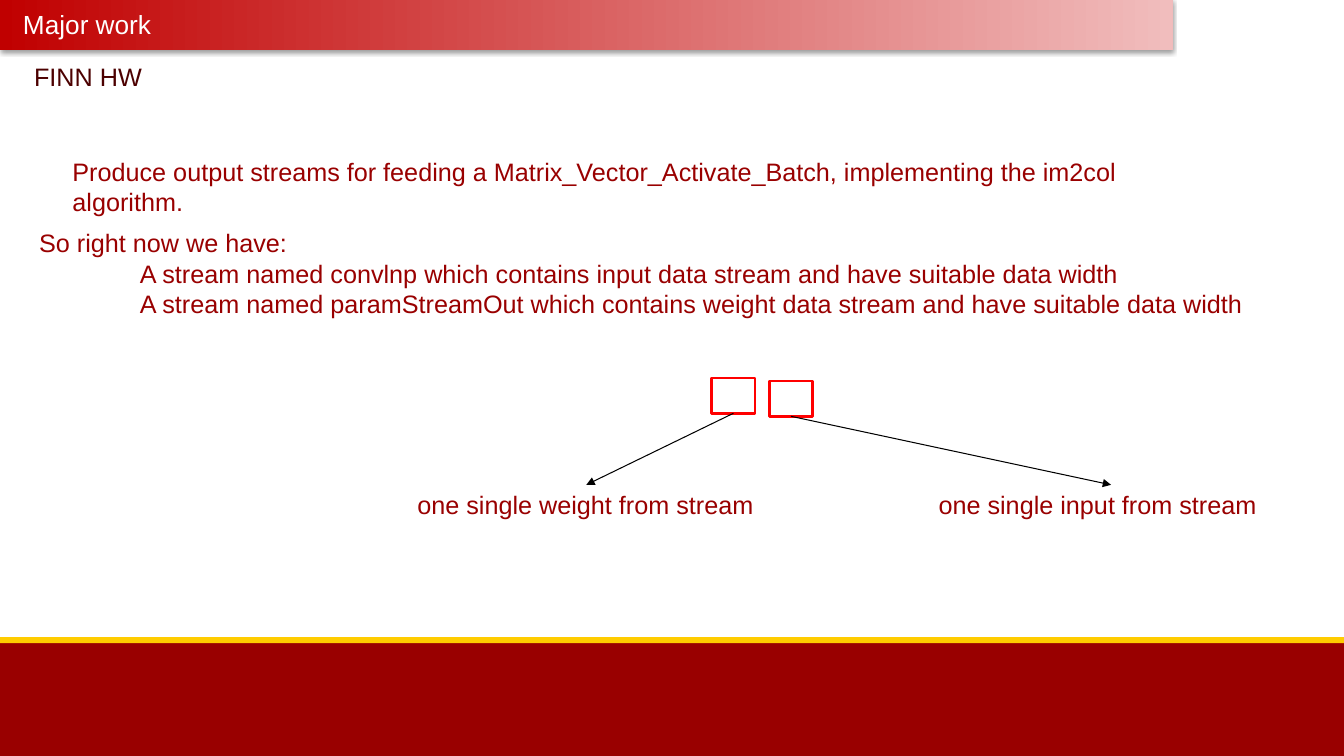
from dataclasses import dataclass

import lxml.etree
import pptx
import pptx.dml.color
import pptx.enum.shapes
import pptx.oxml.ns
import pptx.util

Inches = pptx.util.Inches
Pt = pptx.util.Pt
qn = pptx.oxml.ns.qn
SHAPES = pptx.enum.shapes.MSO_SHAPE
RGB = pptx.dml.color.RGBColor.from_string


@dataclass(frozen=True)
class Theme:
    font: str = "Arial"
    body_size: float = 18
    title_size: float = 18.7
    red: str = "990000"
    heading: str = "4C0000"
    gold: str = "FFCC00"
    title_start: str = "C00000"
    title_end: str = "F1BDBD"
    box_line: str = "FF0000"
    white: str = "FFFFFF"
    black: str = "000000"


theme = Theme()
presentation = pptx.Presentation()
presentation.slide_width = Inches(13.33)
presentation.slide_height = Inches(7.5)
slide = presentation.slides.add_slide(presentation.slide_layouts[6])


def add_text(text, left, top, width, height, size=theme.body_size, color=theme.red, indent=0):
    """Add a text box, one paragraph per line; lines after the first are indented."""
    box = slide.shapes.add_textbox(Inches(left), Inches(top), Inches(width), Inches(height))
    frame = box.text_frame
    frame.word_wrap = True
    for number, line in enumerate(text.split("\n")):
        paragraph = frame.add_paragraph() if number else frame.paragraphs[0]
        paragraph.text = line
        if number and indent:
            properties = paragraph._p.get_or_add_pPr()
            properties.set("marL", str(Inches(indent)))
            properties.set("indent", "0")
        paragraph.font.name = theme.font
        paragraph.font.size = Pt(size)
        paragraph.font.color.rgb = RGB(color)


def add_rectangle(left, top, width, height, fill=None, line=None):
    shape = slide.shapes.add_shape(
        SHAPES.RECTANGLE, Inches(left), Inches(top), Inches(width), Inches(height))
    shape.shadow.inherit = False
    if fill:
        shape.fill.solid()
        shape.fill.fore_color.rgb = RGB(fill)
    else:
        shape.fill.background()
    if line:
        shape.line.color.rgb = RGB(line)
        shape.line.width = Pt(2)
    else:
        shape.line.fill.background()
    return shape


# Footer
add_rectangle(0, 6.35, 13.33, 1.15, fill=theme.red)
add_rectangle(0, 6.32, 13.33, 0.06, fill=theme.gold)

# Title bar with gradient and soft shadow
title_bar = add_rectangle(0, 0, 11.63, 0.5)
title_bar.fill.gradient()
title_bar.fill.gradient_angle = 0
for stop, color in zip(title_bar.fill.gradient_stops, (theme.title_start, theme.title_end)):
    stop.color.rgb = RGB(color)
effects = title_bar._element.spPr.find(qn("a:effectLst"))
shadow = lxml.etree.SubElement(
    effects, qn("a:outerShdw"), blurRad=str(Pt(3.1)), dist=str(Pt(1.6)),
    dir="5400000", rotWithShape="0")
shadow_color = lxml.etree.SubElement(shadow, qn("a:srgbClr"), val=theme.black)
lxml.etree.SubElement(shadow_color, qn("a:alpha"), val="38000")
add_text("Major work", 0.13, 0.03, 11.27, 0.45, size=theme.title_size, color=theme.white)

# Body text
add_text("FINN HW", 0.24, 0.56, 1.62, 0.4, color=theme.heading)
add_text(
    "Produce output streams for feeding a Matrix_Vector_Activate_Batch, "
    "implementing the im2col algorithm.", 0.62, 1.5, 11.69, 0.4)
add_text(
    "So right now we have:\n"
    "A stream named convlnp which contains input data stream and have suitable data width\n"
    "A stream named paramStreamOut which contains weight data stream and have suitable data width",
    0.29, 2.21, 12.34, 1.01, indent=1)

# Stream elements: box position, caption, caption position and width
box_width, box_height, caption_top = 0.43, 0.35, 4.81
for box_left, box_top, caption, caption_left, caption_width in (
    (7.06, 3.75, "one single weight from stream", 4.04, 3.55),
    (7.63, 3.78, "one single input from stream", 9.21, 3.62),
):
    add_rectangle(box_left, box_top, box_width, box_height, line=theme.box_line)
    add_text(caption, caption_left, caption_top, caption_width, 0.4)
    arrow = slide.shapes.add_connector(
        pptx.enum.shapes.MSO_CONNECTOR.STRAIGHT,
        Inches(box_left + box_width / 2), Inches(box_top + box_height),
        Inches(caption_left + caption_width / 2), Inches(caption_top))
    arrow.line.color.rgb = RGB(theme.black)
    arrow.line.width = Pt(0.75)
    lxml.etree.SubElement(arrow.line._get_or_add_ln(), qn("a:tailEnd"), type="triangle")
    lxml.etree.SubElement(arrow._element.spPr, qn("a:effectLst"))

presentation.save("out.pptx")
